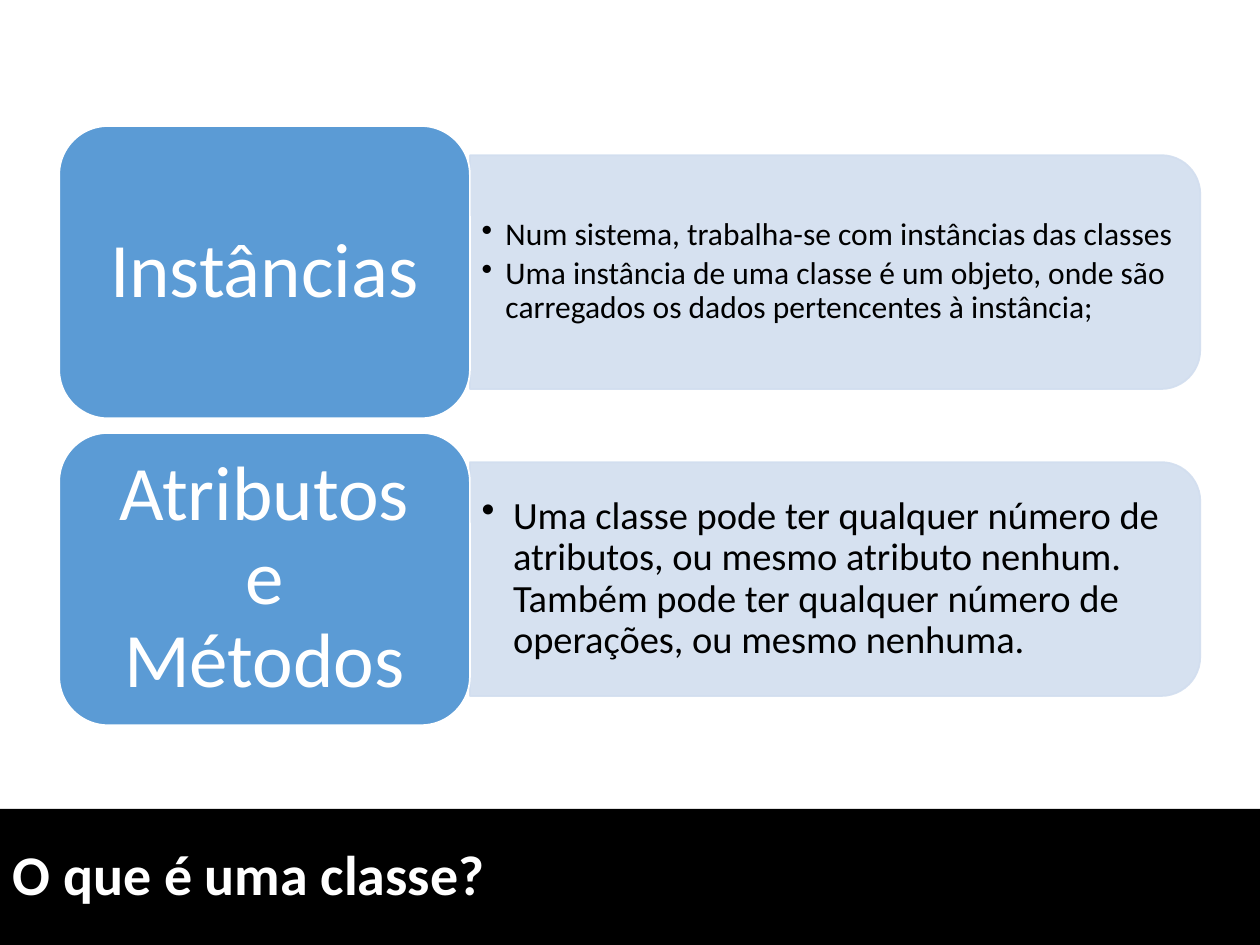
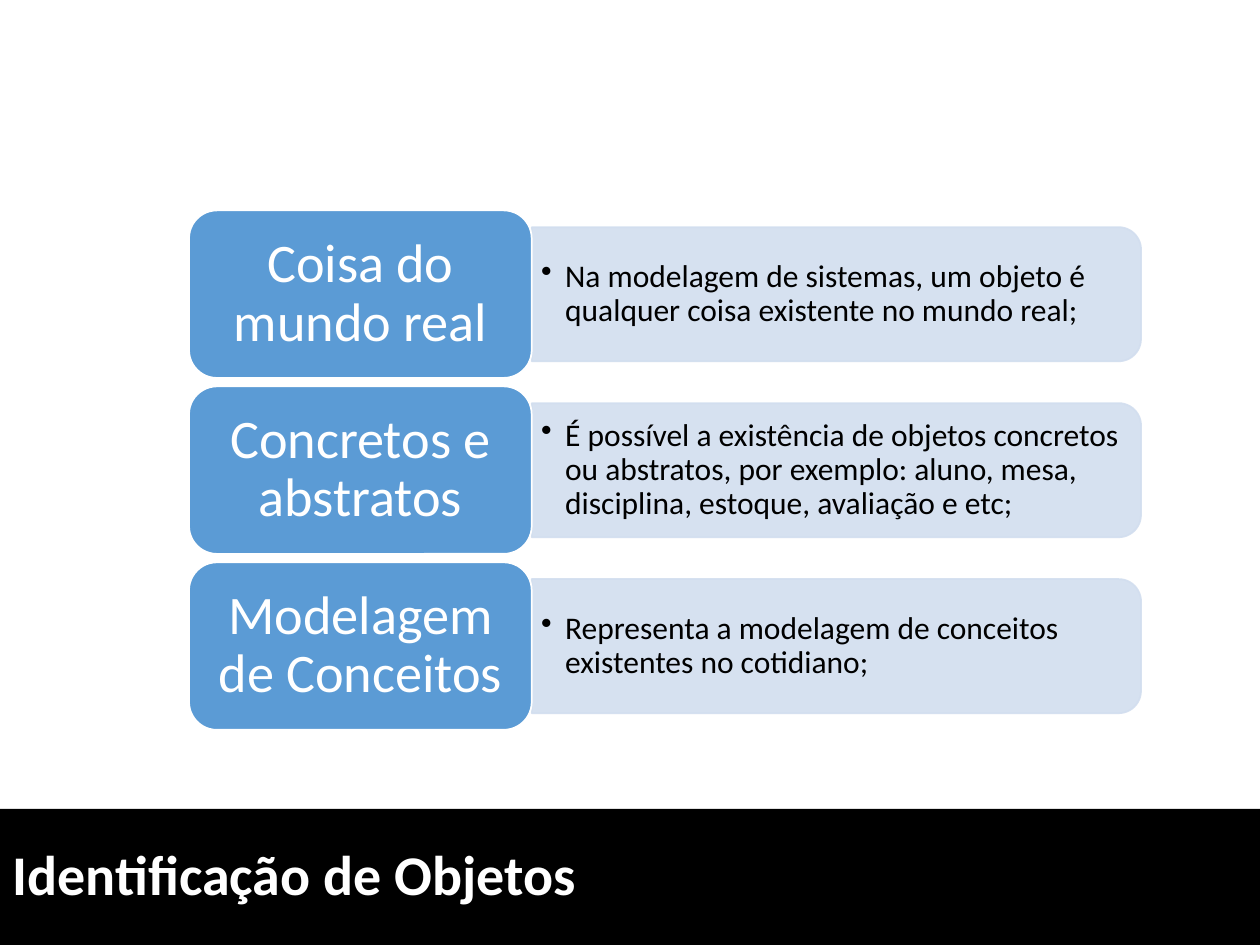
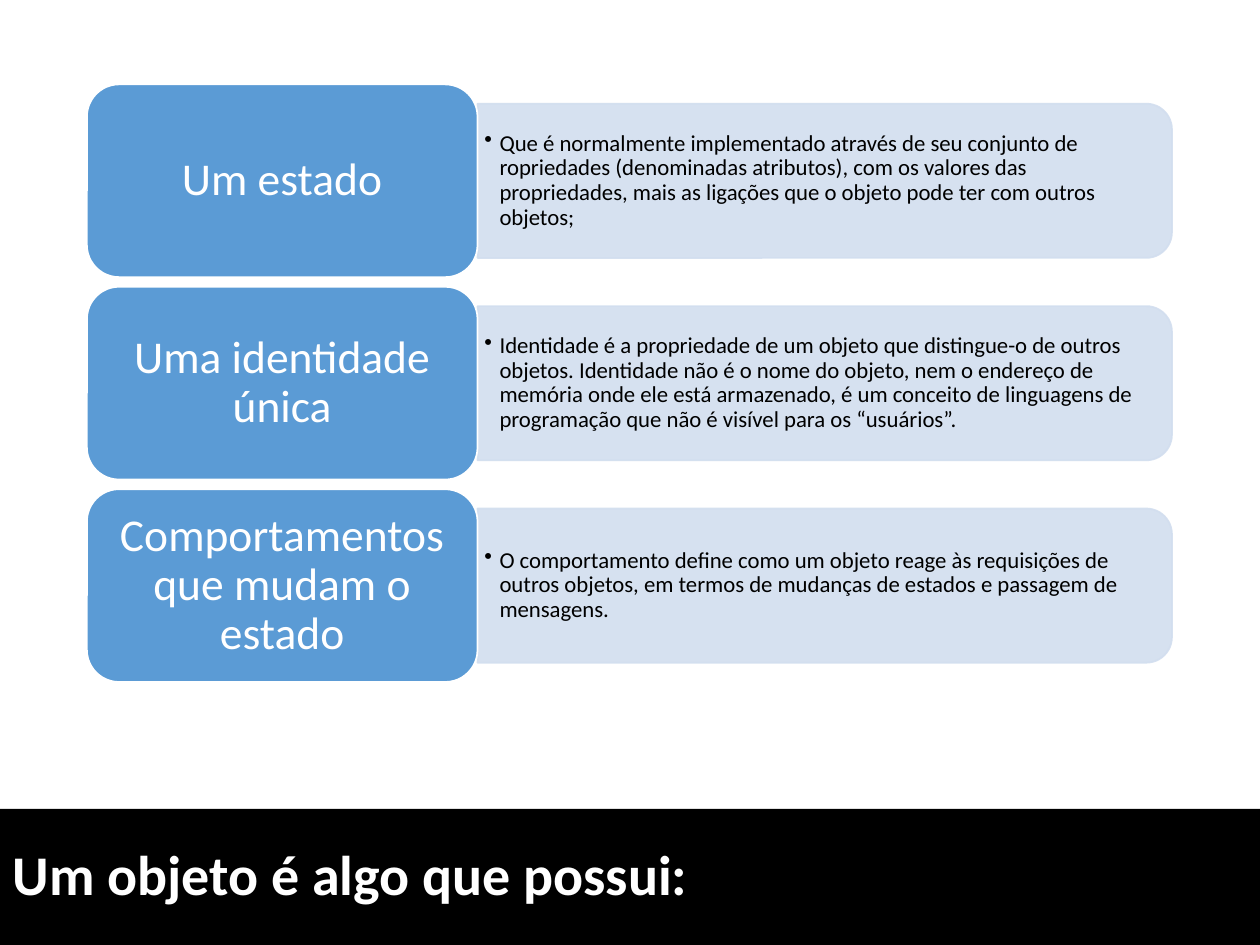
"""Build three slides that pair blue tiles with bulleted panels above a black title band."""
from dataclasses import dataclass
from typing import Any

from lxml.etree import SubElement
from pptx import Presentation
from pptx.dml.color import RGBColor
from pptx.enum.shapes import MSO_SHAPE
from pptx.enum.text import MSO_ANCHOR, MSO_AUTO_SIZE, PP_ALIGN
from pptx.oxml.ns import qn
from pptx.util import Inches, Pt

COLORS = {"tile": "5B9BD5", "panel": "D2DEEF", "band": "000000", "light": "FFFFFF", "dark": "000000"}
FONT = "Calibri"
LINE_SPACING = 0.9
TILE_STEP = 1.05
PANEL_HEIGHT = 0.8
PANEL_WIDTH = 16 / 9
PANEL_OPACITY = 90
CORNER_INSET = 0.05
MARGIN_PER_POINT = 0.3 / 72
INDENTS = {13: 0.12, 18: 0.19, 22: 0.25}
TITLE_ONLY = 5


@dataclass(frozen=True)
class Row:
    """A tile label with the bullets of its panel."""
    label: str
    bullets: tuple[str, ...]
    size: int


@dataclass(frozen=True)
class Ladder:
    """A titled stack of rows, measured in inches from its first tile."""
    title: str
    left: float
    top: float
    tile_width: float
    tile_height: float
    label_size: int
    rows: tuple[Row, ...]


LADDERS = (
    Ladder("O que é uma classe?", 0.47, 1, 3.26, 2.32, 44, (
        Row("Instâncias", (
            "Num sistema, trabalha-se com instâncias das classes",
            "Uma instância de uma classe é um objeto, onde são carregados os dados "
            "pertencentes à instância;"), 18),
        Row("Atributos e Métodos", (
            "Uma classe pode ter qualquer número de atributos, ou mesmo atributo nenhum. "
            "Também pode ter qualquer número de operações, ou mesmo nenhuma.",), 22),
    )),
    Ladder("Identificação de Objetos", 1.5, 1.67, 2.72, 1.33, 31, (
        Row("Coisa do mundo real", (
            "Na modelagem de sistemas, um objeto é qualquer coisa existente no mundo real;",), 18),
        Row("Concretos e abstratos", (
            "É possível a existência de objetos concretos ou abstratos, por exemplo: aluno, "
            "mesa, disciplina, estoque, avaliação e etc;",), 18),
        Row("Modelagem de Conceitos", (
            "Representa a modelagem de conceitos existentes no cotidiano;",), 18),
    )),
    Ladder("Um objeto é algo que possui:", 0.69, 0.67, 3.1, 1.53, 26, (
        Row("Um estado", (
            "Que é normalmente implementado através de seu conjunto de ropriedades "
            "(denominadas atributos), com os valores das propriedades, mais as ligações "
            "que o objeto pode ter com outros objetos;",), 13),
        Row("Uma identidade única", (
            "Identidade é a propriedade de um objeto que distingue-o de outros objetos. "
            "Identidade não é o nome do objeto, nem o endereço de memória onde ele está "
            "armazenado, é um conceito de linguagens de programação que não é visível para "
            "os “usuários”.",), 13),
        Row("Comportamentos que mudam o estado", (
            "O comportamento define como um objeto reage às requisições de outros objetos, "
            "em termos de mudanças de estados e passagem de mensagens.",), 13),
    )),
)


def apply(target: Any, values: dict[str, Any]) -> None:
    """Set each named attribute of the target."""
    for name, value in values.items():
        setattr(target, name, value)


def style_font(para: Any, size: int, color: str, bold: bool = False) -> None:
    """Format every span of a paragraph."""
    for span in para.runs:
        apply(span.font, {"name": FONT, "size": Pt(size), "bold": bold})
        span.font.color.rgb = RGBColor.from_string(COLORS[color])


def style_frame(frame: Any, margin: float) -> None:
    """Wrap and centre a text frame vertically, with side margins twice the others."""
    side, end = Inches(margin), Inches(margin / 2)
    apply(frame, {"word_wrap": True, "auto_size": MSO_AUTO_SIZE.NONE,
                  "vertical_anchor": MSO_ANCHOR.MIDDLE, "margin_left": side,
                  "margin_right": side, "margin_top": end, "margin_bottom": end})


def space_lines(para: Any, after: int) -> Any:
    """Set line spacing and a percentage space after, and return the properties element."""
    para.line_spacing = LINE_SPACING
    properties = para._p.get_or_add_pPr()
    spacing = SubElement(properties, qn("a:spcAft"))
    SubElement(spacing, qn("a:spcPct"), val=str(after * 1000))
    return properties


def add_block(page: Any, kind: MSO_SHAPE, place: tuple[float, ...], fill: str, line: str) -> Any:
    """Add a flat preset shape with a one-point outline."""
    block = page.shapes.add_shape(kind, *map(Inches, place))
    block.shadow.inherit = False
    block.fill.solid()
    block.fill.fore_color.rgb = RGBColor.from_string(COLORS[fill])
    block.line.color.rgb = RGBColor.from_string(COLORS[line])
    block.line.width = Pt(1)
    return block


def add_panel(page: Any, left: float, top: float, width: float, height: float) -> None:
    """Add a translucent panel rounded on its right side."""
    place = (left + (width - height) / 2, top + (height - width) / 2, height, width)
    panel = add_block(page, MSO_SHAPE.ROUND_2_SAME_RECTANGLE, place, "panel", "panel")
    panel.rotation = 90
    for color in panel._element.spPr.iter(qn("a:srgbClr")):
        SubElement(color, qn("a:alpha"), val=str(PANEL_OPACITY * 1000))


def add_bullets(page: Any, place: tuple[float, ...], row: Row, margin: float) -> None:
    """Add the bulleted text of a panel."""
    box = page.shapes.add_textbox(*map(Inches, place))
    style_frame(box.text_frame, margin)
    box.text_frame.text = "\n".join(row.bullets)
    indent = Inches(INDENTS[row.size])
    for para in box.text_frame.paragraphs:
        para.level = 1
        properties = space_lines(para, 15)
        properties.set("marL", str(indent))
        properties.set("indent", str(-indent))
        SubElement(properties, qn("a:buChar"), char="•")
        style_font(para, row.size, "dark")


def add_tile(page: Any, place: tuple[float, ...], label: str, size: int) -> None:
    """Add a rounded tile with a centred label."""
    tile = add_block(page, MSO_SHAPE.ROUNDED_RECTANGLE, place, "tile", "light")
    style_frame(tile.text_frame, size * MARGIN_PER_POINT)
    tile.text_frame.text = label
    para = tile.text_frame.paragraphs[0]
    para.alignment = PP_ALIGN.CENTER
    space_lines(para, 35)
    style_font(para, size, "light")


def add_title(page: Any, title: str) -> None:
    """Turn the title placeholder into the black band at the foot of the page."""
    band = page.shapes.title
    apply(band, {"left": Inches(0), "top": Inches(6.42), "width": Inches(10), "height": Inches(1.08)})
    band.fill.solid()
    band.fill.fore_color.rgb = RGBColor.from_string(COLORS["band"])
    style_frame(band.text_frame, 0.1)
    band.text_frame.text = title
    para = band.text_frame.paragraphs[0]
    apply(para, {"alignment": PP_ALIGN.LEFT, "line_spacing": LINE_SPACING})
    style_font(para, 32, "light", bold=True)


def add_ladder(deck: Any, ladder: Ladder) -> None:
    """Add a page with one panel and one tile for each row."""
    page = deck.slides.add_slide(deck.slide_layouts[TITLE_ONLY])
    add_title(page, ladder.title)
    panel_left = ladder.left + ladder.tile_width
    width = ladder.tile_width * PANEL_WIDTH
    height = ladder.tile_height * PANEL_HEIGHT
    inset = height * CORNER_INSET
    margin = max(row.size for row in ladder.rows) * MARGIN_PER_POINT
    for index, row in enumerate(ladder.rows):
        top = ladder.top + index * ladder.tile_height * TILE_STEP
        panel_top = top + (ladder.tile_height - height) / 2
        add_panel(page, panel_left, panel_top, width, height)
        add_bullets(page, (panel_left, panel_top + inset, width - inset, height - 2 * inset), row, margin)
        add_tile(page, (ladder.left, top, ladder.tile_width, ladder.tile_height), row.label, ladder.label_size)


def main() -> None:
    """Build and save the deck."""
    deck = Presentation()
    apply(deck, {"slide_width": Inches(10), "slide_height": Inches(7.5)})
    for ladder in LADDERS:
        add_ladder(deck, ladder)
    deck.save("out.pptx")


if __name__ == "__main__":
    main()
